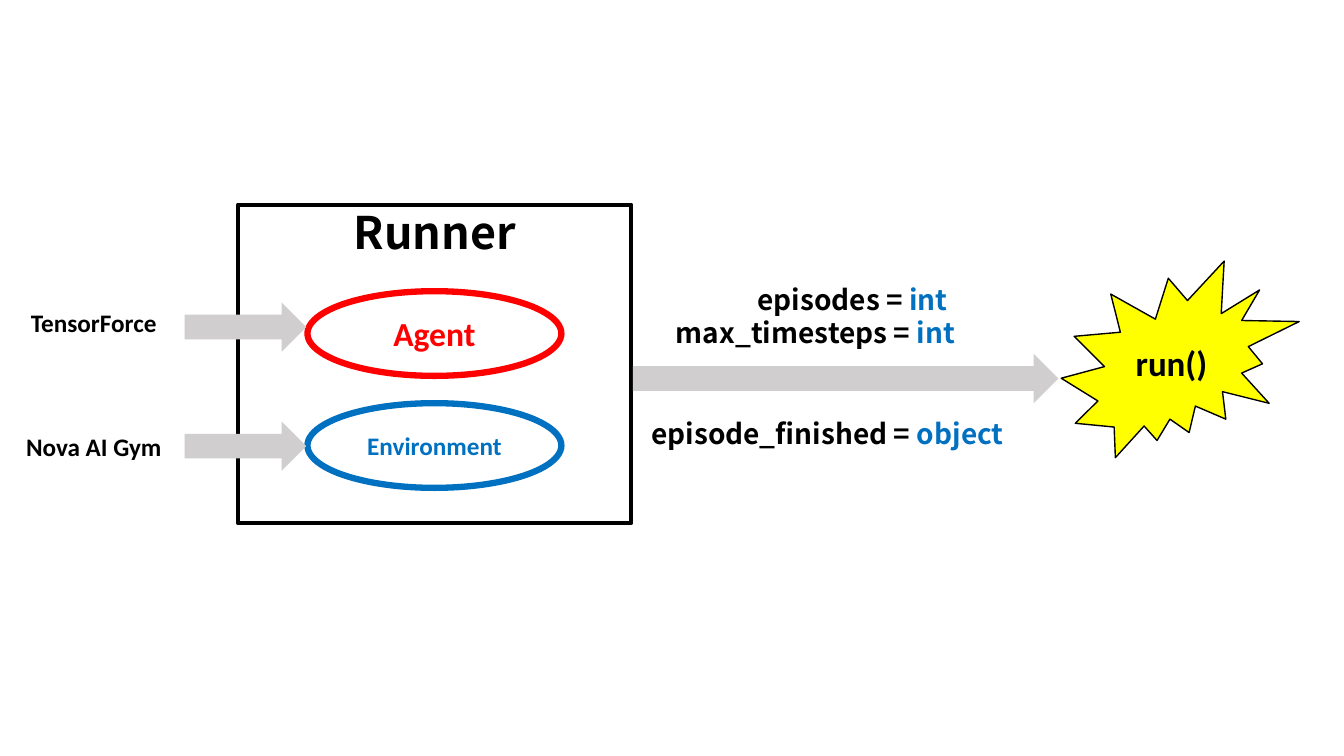
import pptx
import pptx.dml.color
import pptx.enum.shapes
import pptx.enum.text
import pptx.util

Pt = pptx.util.Pt
SHAPE = pptx.enum.shapes.MSO_SHAPE
ANCHOR = pptx.enum.text.MSO_ANCHOR
CENTER = pptx.enum.text.PP_ALIGN.CENTER

BLACK, RED, BLUE = "000000", "FF0000", "0070C0"
YELLOW, GREY = "FFFF00", "D0CECE"
BODY, WIDE = "Calibri", "Noto Sans CJK SC"


def color(code):
    return pptx.dml.color.RGBColor.from_string(code)


class Board:
    def __init__(self, slide):
        self.slide = slide

    def style(self, run, size, tint, face):
        font = run.font
        font.size, font.bold, font.name = Pt(size), True, face
        font.color.rgb = color(tint)

    def letter(self, frame, text, size, tint, face=BODY, anchor=ANCHOR.MIDDLE):
        """Put one centred line of text in a frame."""
        frame.word_wrap = True
        frame.vertical_anchor = anchor
        frame.text = text
        line = frame.paragraphs[0]
        line.alignment = CENTER
        self.style(line.runs[0], size, tint, face)

    def shape(self, kind, box, fill=None, line=None, width=1):
        item = self.slide.shapes.add_shape(kind, *map(Pt, box))
        item.shadow.inherit = False
        if fill:
            item.fill.solid()
            item.fill.fore_color.rgb = color(fill)
        else:
            item.fill.background()
        if line:
            item.line.color.rgb = color(line)
            item.line.width = Pt(width)
        else:
            item.line.fill.background()
        return item

    def arrow(self, left, top, width):
        self.shape(SHAPE.RIGHT_ARROW, (left, top, width, 35.3), GREY)

    def label(self, text, top):
        box = self.slide.shapes.add_textbox(Pt(0), Pt(top), Pt(134), Pt(29))
        self.letter(box.text_frame, text, 18, BLACK)

    def params(self, box, rows):
        """Show name = type lines; each row is name, type, indent, spacing."""
        frame = self.slide.shapes.add_textbox(*map(Pt, box)).text_frame
        frame.word_wrap = True
        for i, (name, kind, indent, space) in enumerate(rows):
            line = frame.add_paragraph() if i else frame.paragraphs[0]
            line.alignment = CENTER
            line.line_spacing = Pt(space)
            line._p.get_or_add_pPr().set("marL", str(Pt(indent)))
            for text, tint in ((f"{name} = ", BLACK), (kind, BLUE)):
                run = line.add_run()
                run.text = text
                self.style(run, 20, tint, WIDE)


def main():
    deck = pptx.Presentation()
    deck.slide_width, deck.slide_height = Pt(960), Pt(540)
    board = Board(deck.slides.add_slide(deck.slide_layouts[6]))

    runner = board.shape(SHAPE.RECTANGLE, (170, 146.2, 281, 227.5), line=BLACK, width=3)
    runner.text_frame.margin_top = 0
    board.letter(runner.text_frame, "Runner", 32, BLACK, WIDE, ANCHOR.TOP)

    parts = (
        ("Agent", 24, RED, 208, 216, "TensorForce", 215.5),
        ("Environment", 18, BLUE, 288, 301, "Nova AI Gym", 304.5),
    )
    for text, size, tint, top, tip, source, base in parts:
        oval = board.shape(SHAPE.OVAL, (219.6, top, 181.4, 60.5), line=tint, width=4.5)
        board.letter(oval.text_frame, text, size, tint)
        board.arrow(131.8, tip, 87)
        board.label(source, base)

    board.arrow(452, 252.7, 304)
    burst = board.shape(SHAPE.EXPLOSION2, (758, 186.5, 170, 140.4), YELLOW, BLACK)
    board.letter(burst.text_frame, "run()", 25, BLACK)

    board.params((430.6, 150, 304, 279), (
        ("episodes", "int", 53, 72),
        ("max_timesteps", "int", 0, 24),
        ("episode_finished", "object", 17, 72),
    ))
    deck.save("out.pptx")


if __name__ == "__main__":
    main()
